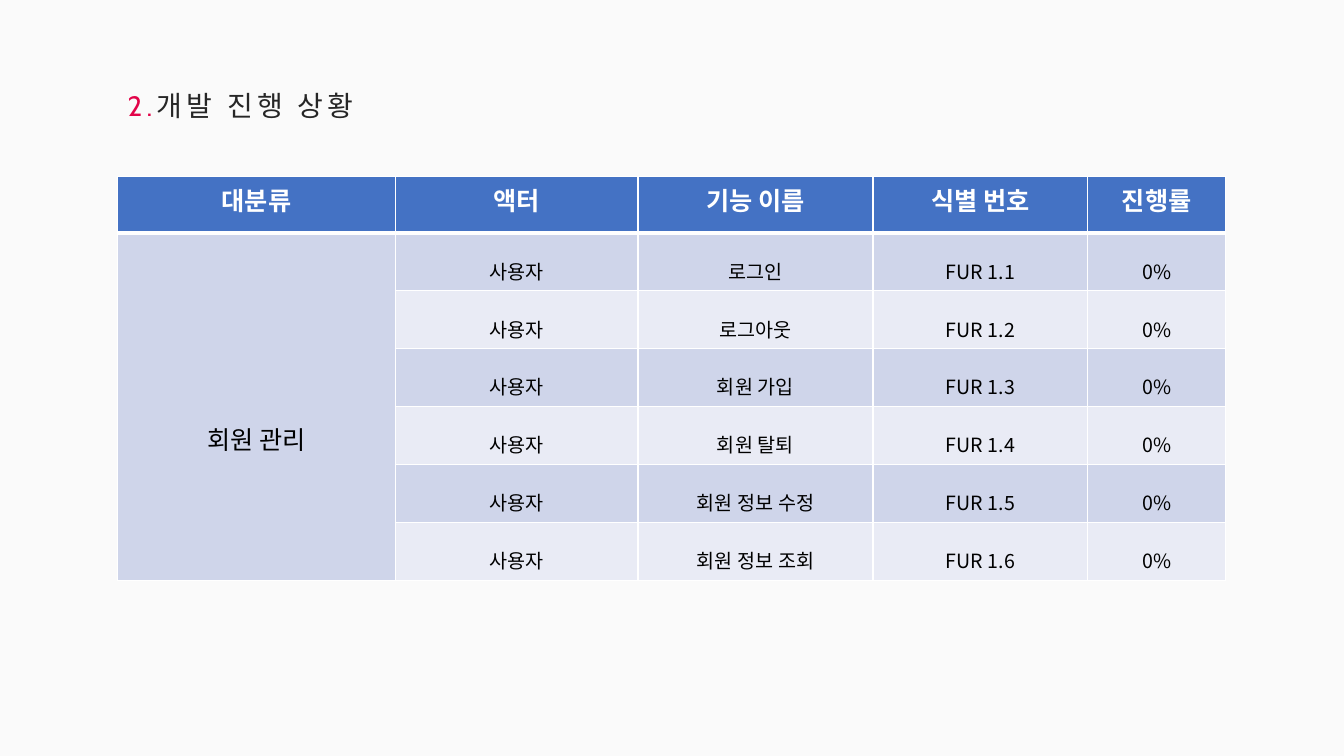
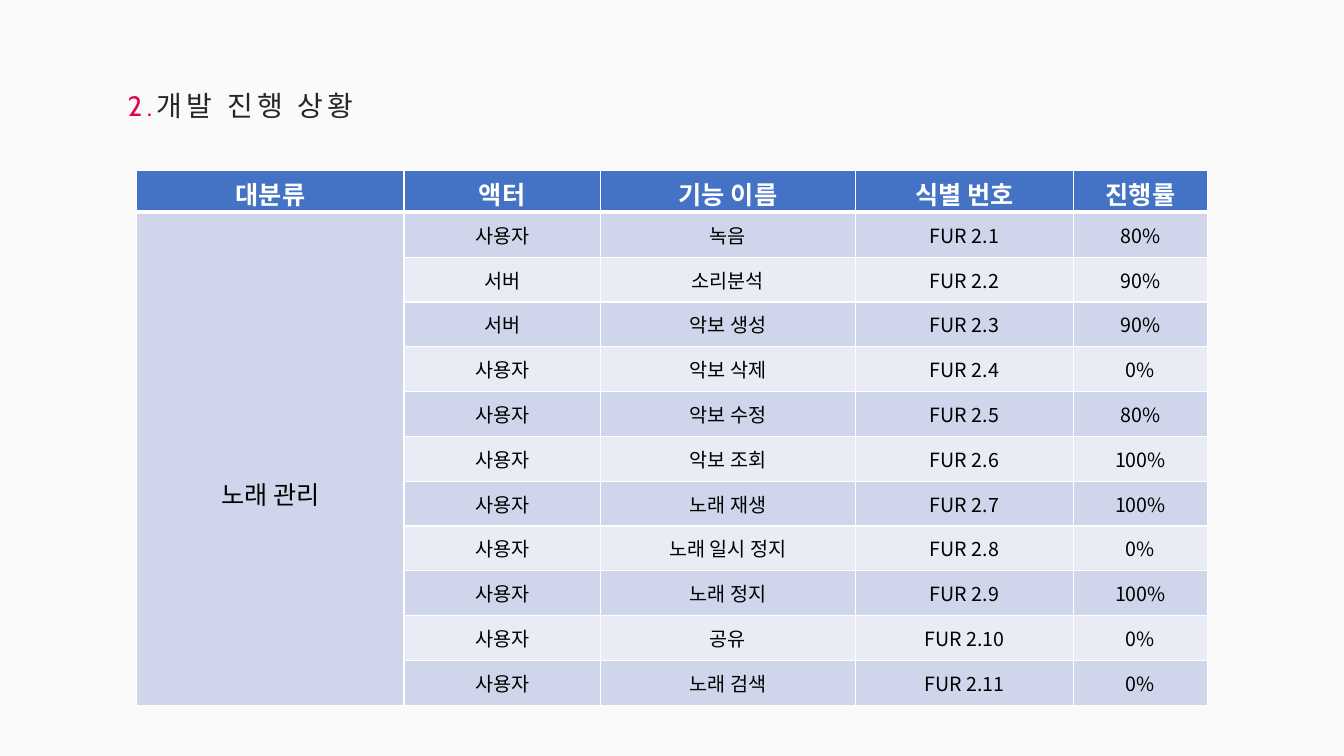
from lxml import etree
from pptx import Presentation
from pptx.dml.color import RGBColor
from pptx.enum.text import MSO_ANCHOR, MSO_AUTO_SIZE, PP_ALIGN
from pptx.oxml.ns import qn
from pptx.util import Cm, Pt

CENTER = PP_ALIGN.CENTER
TOP, MIDDLE = MSO_ANCHOR.TOP, MSO_ANCHOR.MIDDLE
FIT_SHAPE = MSO_AUTO_SIZE.SHAPE_TO_FIT_TEXT

HEADERS = ["대분류", "액터", "기능 이름", "식별 번호", "진행률"]
USER, SERVER = "사용자", "서버"
MEMBER_FEATURES = [
    (USER, "로그인", "0%"),
    (USER, "로그아웃", "0%"),
    (USER, "회원 가입", "0%"),
    (USER, "회원 탈퇴", "0%"),
    (USER, "회원 정보 수정", "0%"),
    (USER, "회원 정보 조회", "0%"),
]
SONG_FEATURES = [
    (USER, "녹음", "80%"),
    (SERVER, "소리분석", "90%"),
    (SERVER, "악보 생성", "90%"),
    (USER, "악보 삭제", "0%"),
    (USER, "악보 수정", "80%"),
    (USER, "악보 조회", "100%"),
    (USER, "노래 재생", "100%"),
    (USER, "노래 일시 정지", "0%"),
    (USER, "노래 정지", "100%"),
    (USER, "공유", "0%"),
    (USER, "노래 검색", "0%"),
]


def rgb(value):
    return RGBColor.from_string(value)


class Deck:
    """Holds the shared style and the current slide."""

    PAPER, INK, ACCENT = "FAFAFA", "262626", "E20449"
    WHITE, BLACK, HEADER = "FFFFFF", "000000", "4472C4"
    BANDS = ["CFD5EA", "E9EBF5"]
    NUMBER_FONT, TEXT_FONT = "Cabin", "Noto Sans CJK KR"

    def __init__(self):
        self.prs = Presentation()
        self.prs.slide_width, self.prs.slide_height = Cm(33.87), Cm(19.05)
        self.s = None

    def new_slide(self):
        self.s = self.prs.slides.add_slide(self.prs.slide_layouts[6])
        fill = self.s.background.fill
        fill.solid()
        fill.fore_color.rgb = rgb(self.PAPER)

    def format_run(self, r, size, color, font=TEXT_FONT, bold=False, tracking=0):
        """Style a run; tracking is the letter spacing in points."""
        r.font.size, r.font.bold, r.font.name = Pt(size), bold, font
        r.font.color.rgb = rgb(color)
        rpr = r.font._element
        etree.SubElement(rpr, qn("a:ea"), typeface=font)
        if tracking:
            rpr.set("spc", str(round(tracking * 100)))

    def title(self, number, text):
        sp = self.s.shapes.add_textbox(Cm(2.97), Cm(2.11), Cm(6.86), Cm(1.12))
        tf = sp.text_frame
        tf.word_wrap, tf.auto_size = False, FIT_SHAPE
        p = tf.paragraphs[0]
        for part, color, font in [(number, self.ACCENT, self.NUMBER_FONT),
                                  (text, self.INK, self.TEXT_FONT)]:
            r = p.add_run()
            r.text = part
            self.format_run(r, 20, color, font, tracking=3)

    def borders(self, cell, top, bottom):
        """Draw white cell borders; top and bottom are widths in points."""
        tcpr = cell._tc.get_or_add_tcPr()
        sides = [("L", 1), ("R", 1), ("T", top), ("B", bottom)]
        for i, (side, width) in enumerate(sides):
            ln = etree.Element(qn("a:ln" + side), w=str(Pt(width)))
            fill = etree.SubElement(ln, qn("a:solidFill"))
            etree.SubElement(fill, qn("a:srgbClr"), val=self.WHITE)
            tcpr.insert(i, ln)

    def cell(self, cell, text, fill, size, color, anchor=MIDDLE, bold=False,
             tracking=0):
        cell.fill.solid()
        cell.fill.fore_color.rgb = rgb(fill)
        cell.vertical_anchor = anchor
        p = cell.text_frame.paragraphs[0]
        p.text, p.alignment = text, CENTER
        for r in p.runs:
            self.format_run(r, size, color, bold=bold, tracking=tracking)

    def progress_table(self, left, top, widths, header_height, row_height,
                       category, label_inset, prefix, features, loose=False):
        """Table of one category; loose gives wide line spacing and slim margins."""
        count = len(features)
        frame = self.s.shapes.add_table(
            count + 1, len(widths), Cm(left), Cm(top), Cm(sum(widths)),
            Cm(header_height + count * row_height))
        table = frame.table
        for column, width in zip(table.columns, widths):
            column.width = Cm(width)
        for i, row in enumerate(table.rows):
            row.height = Cm(row_height if i else header_height)
            for cell in row.cells:
                self.borders(cell, 3 if i == 1 else 1, 1 if i else 3)

        for cell, text in zip(table.rows[0].cells, HEADERS):
            self.cell(cell, text, self.HEADER, 18, self.WHITE, TOP, bold=True)

        for i, (actor, feature, progress) in enumerate(features, 1):
            band = self.BANDS[(i - 1) % 2]
            values = [actor, feature, f"{prefix}.{i}", progress]
            for j, value in enumerate(values, 1):
                cell = table.cell(i, j)
                self.cell(cell, value, band, 14, self.BLACK,
                          tracking=0.1 if loose else 0)
                if loose:
                    cell.margin_left = cell.margin_right = Cm(0.18)
                    cell.margin_top = cell.margin_bottom = Cm(0.05)
                    cell.text_frame.paragraphs[0].line_spacing = 1.6

        label = table.cell(1, 0)
        label.merge(table.cell(count, 0))
        self.cell(label, category, self.BANDS[0], 18, self.BLACK)
        label.margin_top = Cm(label_inset)

    def save(self):
        self.prs.save("out.pptx")


def main():
    deck = Deck()
    tables = [
        dict(left=2.97, top=4.45, widths=[6.99, 6.12, 5.92, 5.41, 3.48],
             header_height=1.42, row_height=1.46, category="회원 관리",
             label_inset=1.74, prefix="FUR 1", features=MEMBER_FEATURES,
             loose=True),
        dict(left=3.45, top=4.29, widths=[6.73, 4.95, 6.43, 5.49, 3.38],
             header_height=1.06, row_height=1.13, category="노래 관리",
             label_inset=1.89, prefix="FUR 2", features=SONG_FEATURES),
    ]
    for table in tables:
        deck.new_slide()
        deck.title("2.", "개발 진행 상황")
        deck.progress_table(**table)
    deck.save()


if __name__ == "__main__":
    main()
